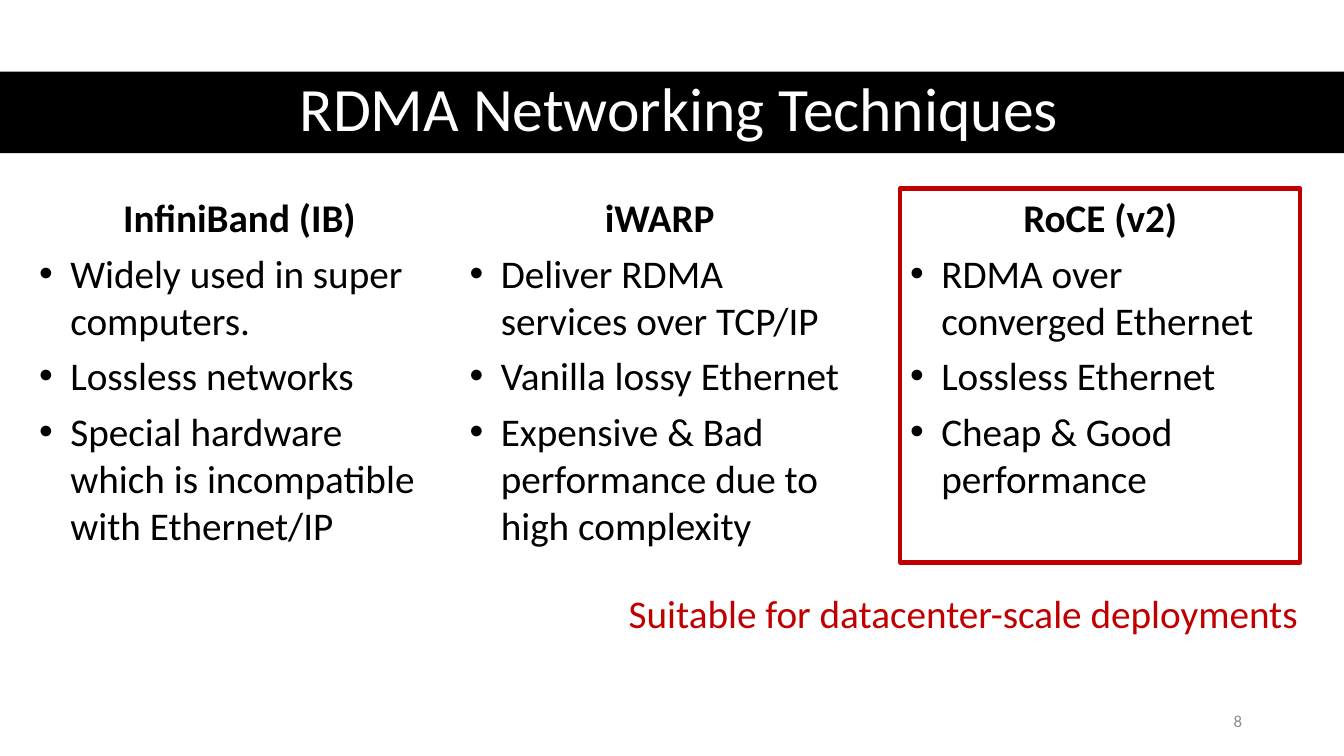
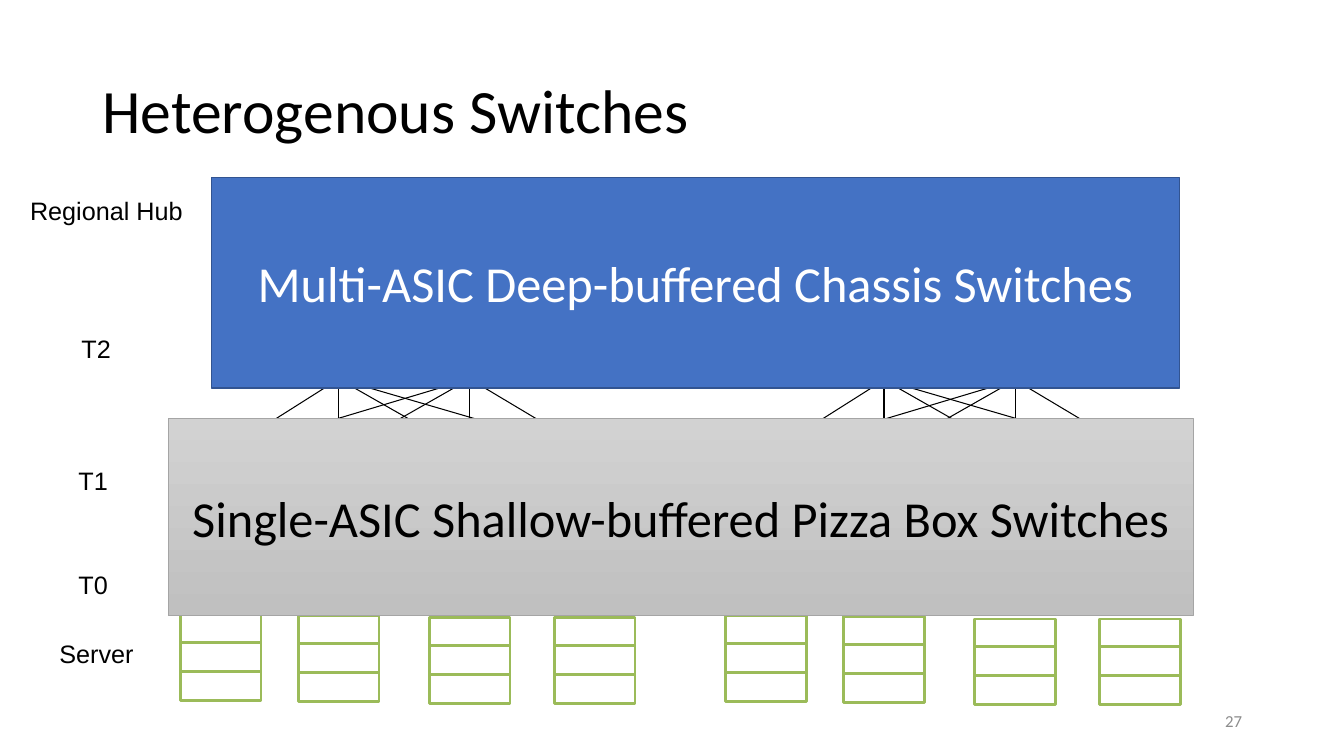
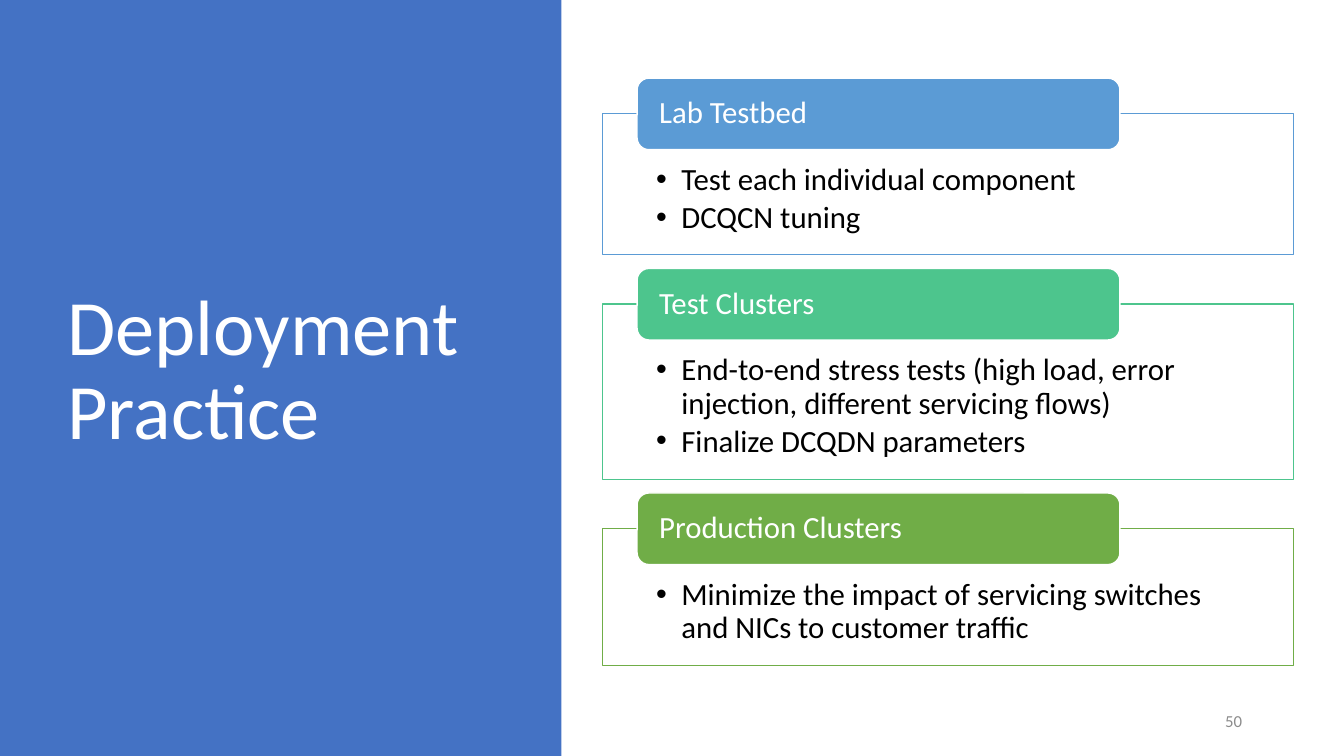
from dataclasses import dataclass, replace
from itertools import product
from typing import Optional

from lxml import etree
from pptx import Presentation
from pptx import util as u
from pptx.dml.color import RGBColor
from pptx.enum import shapes, text
from pptx.oxml.ns import qn

CELL = u.Inches(0.1)
COLS, ROWS = 133.33, 75
COLORS = {
    "ink": "000000",
    "paper": "FFFFFF",
    "blue": "4472C4",
    "blue_edge": "325491",
    "accent": "C00000",
    "muted": "8C8C8C",
    "server": "9BBB59",
    "gray_top": "D2D2D2",
    "gray_bottom": "C0C0C0",
    "gray_edge": "A5A5A5",
    "lab": "5B9BD5",
    "test": "4DC58D",
    "production": "70AD47",
}
ALIGN = text.PP_ALIGN
ANCHOR = text.MSO_ANCHOR
KIND = shapes.MSO_SHAPE


@dataclass(frozen=True)
class Box:
    left: float
    top: float
    width: float
    height: float

    def emu(self) -> tuple[int, ...]:
        return tuple(cells(v) for v in (self.left, self.top, self.width, self.height))


@dataclass(frozen=True)
class Style:
    size: float
    color: str = "ink"
    font: str = "Calibri"
    bold: bool = False
    align: ALIGN = ALIGN.LEFT
    spacing: float = 1.0
    after: float = 0
    indent: float = 0


@dataclass(frozen=True)
class Technique:
    left: float
    width: float
    name: str
    points: tuple[str, ...]
    line: Optional[str] = None


@dataclass(frozen=True)
class Tier:
    name: str
    left: float
    top: float
    width: float


@dataclass(frozen=True)
class Rack:
    left: float
    top: float

    @property
    def center(self) -> float:
        return self.left + RACK_W / 2


@dataclass(frozen=True)
class Stage:
    name: str
    color: str
    height: float
    points: tuple[str, ...]


TITLE = Style(44, spacing=0.9)
HEADING = Style(28, bold=True, align=ALIGN.CENTER, after=6)
POINT = Style(28, after=6, indent=3.1)
NOTE = Style(28, "accent", align=ALIGN.CENTER)
TIER_LABEL = Style(18, font="Arial")
SWITCH = Style(36, align=ALIGN.CENTER)
STAGE_NAME = Style(22, "paper", spacing=0.9)
STAGE_POINT = Style(22, spacing=0.9, after=3.3, indent=2.5)
PAGE = Style(12, "muted", align=ALIGN.RIGHT)

TECHNIQUES = (
    Technique(2.9, 41.7, "InfiniBand (IB)", (
        "Widely used in super computers.",
        "Lossless networks",
        "Special hardware which is incompatible with Ethernet/IP",
    )),
    Technique(45.6, 39.7, "iWARP", (
        "Deliver RDMA services over TCP/IP",
        "Vanilla lossy Ethernet",
        "Expensive & Bad performance due to high complexity",
    )),
    Technique(89.3, 39.7, "RoCE (v2)", (
        "RDMA over converged Ethernet",
        "Lossless Ethernet",
        "Cheap & Good performance",
    ), "accent"),
)

RACK_W, SERVER_H = 8, 2.9
SERVER_ROWS = (0, 2.7, 5.6)
POD_SHIFT = (54.1, 0.1)
RACKS = (Rack(17.9, 61), Rack(29.6, 61.1), Rack(42.6, 61.3), Rack(55, 61.3))
LINK_TOP, LINK_BOTTOM = 37.6, 45
TIERS = (
    Tier("Regional Hub", 2, 18.9, 17.3),
    Tier("T2", 7.1, 32.6, 5),
    Tier("T1", 6.8, 45.7, 5),
    Tier("T0", 6.8, 56, 5),
    Tier("Server", 4.9, 62.8, 9.5),
)

STAGES = (
    Stage("Lab Testbed", "lab", 14, ("Test each individual component", "DCQCN tuning")),
    Stage("Test Clusters", "test", 17.4, (
        "End-to-end stress tests (high load, error injection, different servicing flows)",
        "Finalize DCQDN parameters",
    )),
    Stage("Production Clusters", "production", 13.6, (
        "Minimize the impact of servicing switches and NICs to customer traffic",
    )),
)
STAGE_TOP, STAGE_GAP, TAB_H, TAB_RISE = 7.75, 1.35, 7.1, 3.53


def cells(n: float) -> int:
    return round(n * CELL)


def rgb(name: str) -> RGBColor:
    return RGBColor.from_string(COLORS[name])


def write(sp, items, anchor=ANCHOR.TOP, insets=(1, 0.5, 1, 0.5), wrap=True) -> None:
    tf = sp.text_frame
    tf.word_wrap = wrap
    tf.vertical_anchor = anchor
    tf.margin_left, tf.margin_top, tf.margin_right, tf.margin_bottom = map(cells, insets)
    for i, (content, style) in enumerate(items):
        p = tf.paragraphs[0] if i == 0 else tf.add_paragraph()
        p.text = content
        if style.indent:
            props = p._p.get_or_add_pPr()
            props.set("marL", str(cells(style.indent)))
            props.set("indent", str(-cells(style.indent)))
            etree.SubElement(props, qn("a:buFont")).set("typeface", "Arial")
            etree.SubElement(props, qn("a:buChar")).set("char", "•")
        p.alignment = style.align
        p.line_spacing = style.spacing
        p.space_after = u.Pt(style.after)
        p.font.size = u.Pt(style.size)
        p.font.name = style.font
        p.font.bold = style.bold
        p.font.color.rgb = rgb(style.color)


def label(s, box: Box, content: str, style: Style, anchor=ANCHOR.TOP, wrap=True) -> None:
    write(s.shapes.add_textbox(*box.emu()), [(content, style)], anchor, wrap=wrap)


def block(s, box: Box, fill: Optional[str] = None, line: Optional[str] = None,
          weight: float = 1, kind=KIND.RECTANGLE):
    sp = s.shapes.add_shape(kind, *box.emu())
    sp.shadow.inherit = False
    if fill:
        sp.fill.solid()
        sp.fill.fore_color.rgb = rgb(fill)
    else:
        sp.fill.background()
    if line:
        sp.line.color.rgb = rgb(line)
        sp.line.width = u.Pt(weight)
    else:
        sp.line.fill.background()
    return sp


def link(s, x1: float, y1: float, x2: float, y2: float) -> None:
    line = s.shapes.add_connector(shapes.MSO_CONNECTOR.STRAIGHT, *map(cells, (x1, y1, x2, y2)))
    line.line.color.rgb = rgb("ink")
    line.line.width = u.Pt(0.75)
    etree.SubElement(line._element.spPr, qn("a:effectLst"))


def new_slide(prs, title: str, box: Box, style: Style, page: int, band: Optional[Box] = None,
              band_fill: str = "ink"):
    s = prs.slides.add_slide(prs.slide_layouts[6])
    if band:
        block(s, band, band_fill)
    label(s, box, title, style, ANCHOR.MIDDLE)
    label(s, Box(94.2, 69.5, 30, 4), str(page), PAGE, ANCHOR.MIDDLE)
    return s


def techniques_slide(prs) -> None:
    style = replace(TITLE, color="paper", align=ALIGN.CENTER)
    s = new_slide(prs, "RDMA Networking Techniques", Box(6.1, 7, 122.6, 8.1), style, 8,
                  Box(0, 7.1, COLS, 8.1))
    for t in TECHNIQUES:
        sp = block(s, Box(t.left, 18.7, t.width, 37.1), line=t.line, weight=3)
        write(sp, [(t.name, HEADING), *((point, POINT) for point in t.points)])
    label(s, Box(60.7, 58, 69.7, 5.7), "Suitable for datacenter-scale deployments", NOTE)


def switches_slide(prs) -> None:
    s = new_slide(prs, "Heterogenous Switches", Box(9.2, 4, 115, 14.5), TITLE, 27)
    for pod in range(2):
        dx, dy = (pod * shift for shift in POD_SHIFT)
        racks = [Rack(r.left + dx, r.top + dy) for r in RACKS]
        for lower, upper in product(racks, racks[1:3]):
            link(s, lower.center, LINK_BOTTOM + dy, upper.center, LINK_TOP + dy)
        for rack, row in product(racks, SERVER_ROWS):
            block(s, Box(rack.left, rack.top + row, RACK_W, SERVER_H), "paper", "server", 2)
    for t in TIERS:
        label(s, Box(t.left, t.top, t.width, 4), t.name, TIER_LABEL, wrap=False)
    shallow = block(s, Box(16.7, 41.5, 101.7, 19.6), line="gray_edge", weight=0.5)
    shallow.fill.gradient()
    shallow.fill.gradient_angle = 270
    for stop, color in zip(shallow.fill.gradient_stops, ("gray_top", "gray_bottom")):
        stop.color.rgb = rgb(color)
    write(shallow, [("Single-ASIC Shallow-buffered Pizza Box Switches", SWITCH)], ANCHOR.MIDDLE)
    deep = block(s, Box(21, 17.6, 96, 20.9), "blue", "blue_edge")
    write(deep, [("Multi-ASIC Deep-buffered Chassis Switches", replace(SWITCH, color="paper"))],
          ANCHOR.MIDDLE)


def deployment_slide(prs) -> None:
    style = replace(TITLE, size=56, color="paper")
    s = new_slide(prs, "Deployment Practice", Box(5.7, 6.8, 41.6, 60.2), style, 50,
                  Box(0, 0, 55.7, ROWS), "blue")
    top = STAGE_TOP
    for stage in STAGES:
        panel = block(s, Box(59.8, top + TAB_RISE, 68.5, stage.height), "paper", stage.color)
        write(panel, [(point, STAGE_POINT) for point in stage.points],
              insets=(5.3, 5, 5.3, 1.7))
        tab = block(s, Box(63.2, top, 47.9, TAB_H), stage.color, "paper",
                    kind=KIND.ROUNDED_RECTANGLE)
        write(tab, [(stage.name, STAGE_NAME)], ANCHOR.MIDDLE, (1.85, 0, 1.85, 0))
        top += TAB_RISE + stage.height + STAGE_GAP


def main() -> None:
    prs = Presentation()
    prs.slide_width, prs.slide_height = cells(COLS), cells(ROWS)
    techniques_slide(prs)
    switches_slide(prs)
    deployment_slide(prs)
    prs.save("out.pptx")


if __name__ == "__main__":
    main()
